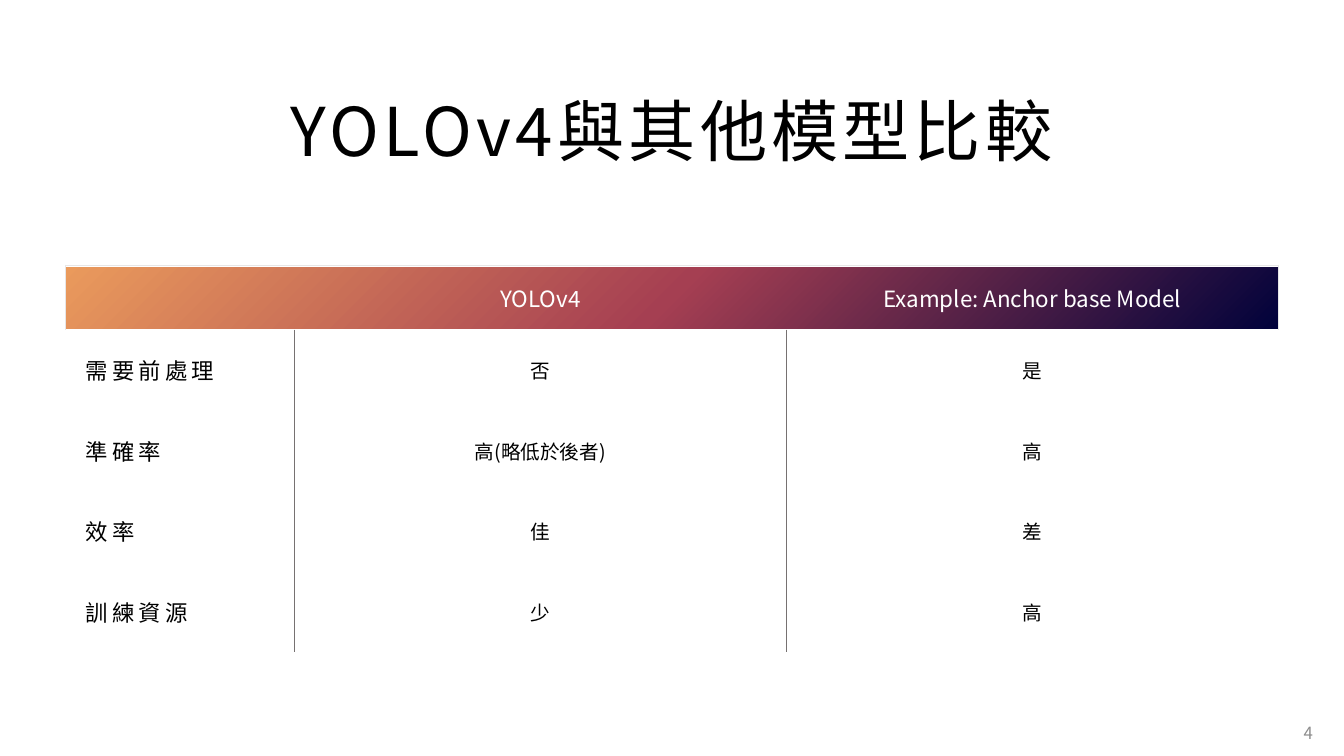
from dataclasses import dataclass

from lxml import etree
from pptx import Presentation
from pptx.dml.color import RGBColor
from pptx.enum.shapes import MSO_SHAPE
from pptx.enum.text import MSO_ANCHOR, MSO_AUTO_SIZE, PP_ALIGN
from pptx.oxml.ns import qn
from pptx.util import Inches, Pt

RECT = MSO_SHAPE.RECTANGLE
MIDDLE = MSO_ANCHOR.MIDDLE
NO_FIT = MSO_AUTO_SIZE.NONE
LEFT, CENTER, RIGHT = PP_ALIGN.LEFT, PP_ALIGN.CENTER, PP_ALIGN.RIGHT
PLAIN_STYLE = "{2D5ABB26-0587-4C30-8999-92F81FD0307C}"


@dataclass(frozen=True)
class Theme:
    font: str = "Noto Sans CJK TC"
    ink: str = "000000"
    light: str = "FFFFFF"
    muted: str = "8C8C8C"
    rule: str = "767171"
    edge: str = "E7E6E6"
    band: tuple = ((0, "01023B"), (50, "A53F52"), (100, "EA9A5C"))
    title: int = 48
    head: int = 16
    body: int = 14
    small: int = 12


THEME = Theme()
SIDE, WIDTH = 0.65, 12.03
COLS = (2.27, 4.88, 4.88)
HEAD_H, ROW_H = 0.64, 0.8
ROWS = (
    ("", "YOLOv4", "Example: Anchor base Model"),
    ("需要前處理", "否", "是"),
    ("準確率", "高(略低於後者)", "高"),
    ("效率", "佳", "差"),
    ("訓練資源", "少", "高"),
)


def add_node(parent, tag, **attrs):
    node = etree.SubElement(parent, qn(tag))
    for key, value in attrs.items():
        node.set(key, str(value))
    return node


def put_text(frame, text, size=THEME.body, color=THEME.ink, align=CENTER, space=0):
    frame.word_wrap = True
    frame.vertical_anchor = MIDDLE
    para = frame.paragraphs[0]
    para.alignment = align
    run = para.add_run()
    run.text = text
    font = run.font
    font.name, font.size = THEME.font, Pt(size)
    font.color.rgb = RGBColor.from_string(color)
    props = font._element
    add_node(props, "a:ea", typeface=THEME.font)
    if space:
        props.set("spc", str(space * 100))


def add_title(slide, text):
    title = slide.shapes.title
    title.left, title.top = Inches(SIDE), Inches(0.84)
    title.width, title.height = Inches(WIDTH), Inches(0.9)
    put_text(title.text_frame, text, size=THEME.title, space=3)
    title.text_frame.auto_size = NO_FIT


def add_band(slide):
    band = slide.shapes.add_shape(
        RECT, Inches(SIDE), Inches(2.65), Inches(WIDTH), Inches(0.61))
    band.shadow.inherit = False
    band.line.fill.background()
    # Radial gradient that starts at the lower right corner
    band.fill.gradient()
    grad = band._element.spPr.find(qn("a:gradFill"))
    for child in list(grad):
        grad.remove(child)
    stops = add_node(grad, "a:gsLst")
    for place, color in THEME.band:
        stop = add_node(stops, "a:gs", pos=place * 1000)
        add_node(stop, "a:srgbClr", val=color)
    focus = add_node(grad, "a:path", path="circle")
    add_node(focus, "a:fillToRect", l=100000, t=100000)


def set_edge(cell, side, color, width):
    line = add_node(cell._tc.get_or_add_tcPr(), "a:ln" + side, w=int(Pt(width)))
    add_node(add_node(line, "a:solidFill"), "a:srgbClr", val=color)


def draw_edges(cell, row, col):
    last = len(COLS) - 1
    if row == 0:
        color, width = THEME.edge, 0.5
        sides = {"L": col == 0, "R": col == last, "T": True}
    else:
        color, width = THEME.rule, 0.25
        sides = {"L": col > 0, "R": col < last}
    for side, shown in sides.items():
        if shown:
            set_edge(cell, side, color, width)


def fill_cell(cell, text, row, col):
    cell.vertical_anchor = MIDDLE
    draw_edges(cell, row, col)
    cell.fill.background()
    if not text:
        return
    if row == 0:
        look = dict(size=THEME.head, color=THEME.light)
    elif col == 0:
        cell.margin_left = Inches(0.2)
        look = dict(size=THEME.head, align=LEFT, space=3)
    else:
        look = {}
    put_text(cell.text_frame, text, **look)
    cell.vertical_anchor = MIDDLE


def add_grid(slide):
    high = HEAD_H + ROW_H * (len(ROWS) - 1)
    grid = slide.shapes.add_table(
        len(ROWS), len(COLS), Inches(SIDE), Inches(2.63),
        Inches(WIDTH), Inches(high)).table
    grid.horz_banding = False
    grid._tbl.tblPr.find(qn("a:tableStyleId")).text = PLAIN_STYLE
    for col, width in zip(grid.columns, COLS):
        col.width = Inches(width)
    for row, texts in enumerate(ROWS):
        grid.rows[row].height = Inches(ROW_H if row else HEAD_H)
        for col, text in enumerate(texts):
            fill_cell(grid.cell(row, col), text, row, col)


def add_number(slide, text):
    box = slide.shapes.add_textbox(
        Inches(12.63), Inches(7.07), Inches(0.49), Inches(0.4))
    put_text(box.text_frame, text, size=THEME.small, color=THEME.muted, align=RIGHT)


def main():
    deck = Presentation()
    deck.slide_width, deck.slide_height = Inches(13.33), Inches(7.5)
    slide = deck.slides.add_slide(deck.slide_layouts.get_by_name("Title Only"))
    # Heading and page number
    add_title(slide, "YOLOv4與其他模型比較")
    add_number(slide, "4")
    # Comparison table over its header band
    add_band(slide)
    add_grid(slide)
    deck.save("out.pptx")


if __name__ == "__main__":
    main()
